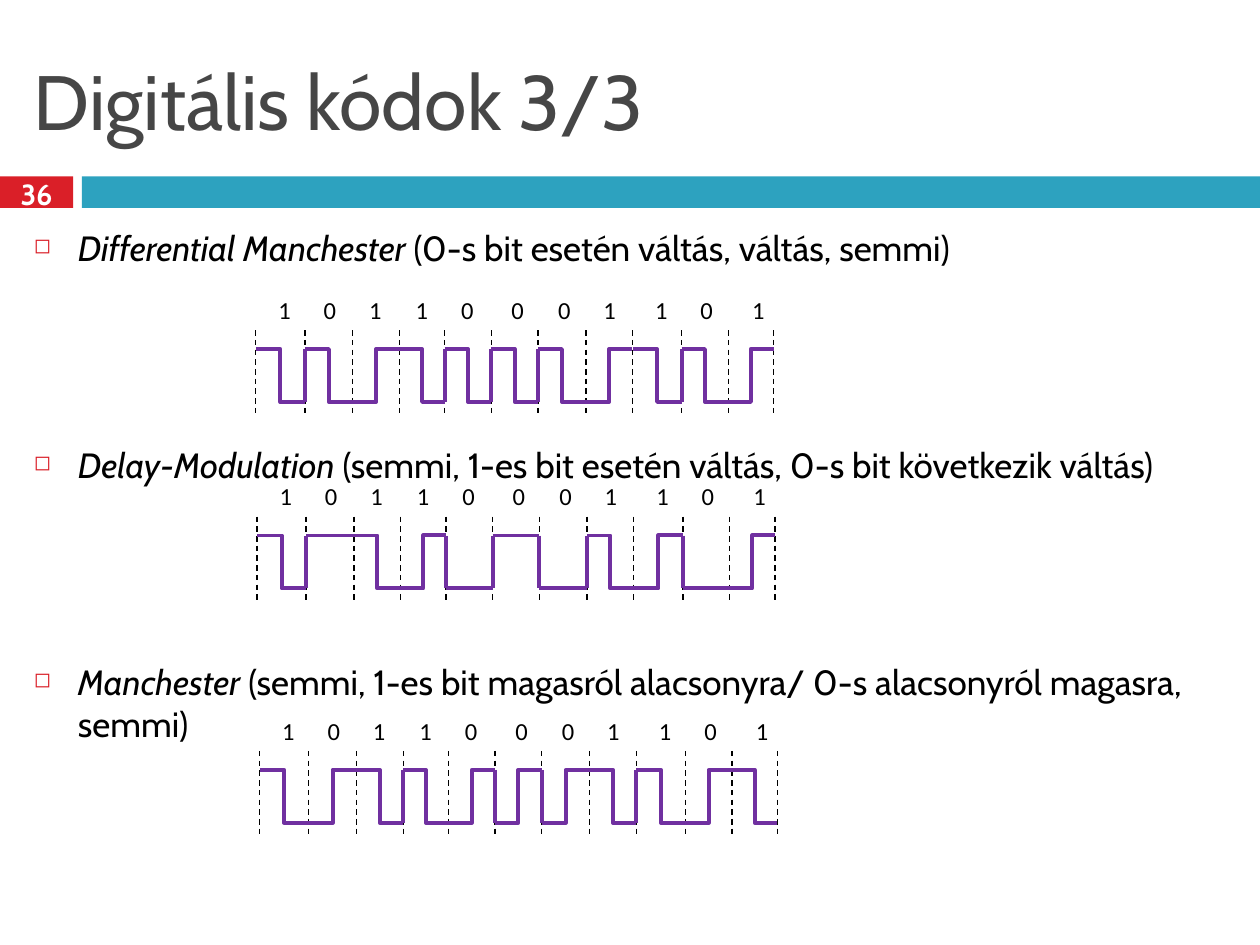
"""Build the slide on digital line codes with three waveform diagrams."""
from itertools import pairwise

from lxml.etree import SubElement
from pptx import Presentation
from pptx.dml.color import RGBColor
from pptx.enum.dml import MSO_LINE
from pptx.enum.shapes import MSO_CONNECTOR, MSO_SHAPE
from pptx.enum.text import MSO_ANCHOR, PP_ALIGN
from pptx.oxml.ns import qn
from pptx.util import Inches, Pt

COLOURS = {
    "red": "DA1F28",
    "blue": "2DA2BF",
    "title": "464646",
    "text": "000000",
    "white": "FFFFFF",
    "signal": "7030A0",
}
FORMATS = {
    "title": {"name": "Cabin", "size": Pt(44)},
    "body": {"name": "Cabin", "size": Pt(20)},
    "term": {"name": "Cabin", "size": Pt(20), "italic": True},
    "bits": {"name": "Calibri", "size": Pt(14)},
    "number": {"name": "Cabin", "size": Pt(16.6), "bold": True},
}
BITS = "10110001101"
BIT_CENTRES = [0.14, 0.5, 0.86, 1.23, 1.59, 1.99, 2.36, 2.72, 3.13, 3.49, 3.9]
CELL_EDGES = [0, 0.39, 0.77, 1.14, 1.5, 1.87, 2.24, 2.62, 2.99, 3.38, 3.75, 4.11]
LEVELS = {"F": (0.48, 0.9), "R": (0.9, 0.48), "H": (0.48, 0.48), "L": (0.9, 0.9)}
CODES = [
    ("Differential Manchester", " (0-s bit esetén váltás, váltás, semmi)",
     7, 2.03, 2.29, "FFRFFFFRFFR"),
    ("Delay-Modulation", " (semmi, 1-es bit esetén váltás, 0-s bit következik váltás)",
     100, 2.04, 3.77, "FHFRLHLFRLR"),
    ("Manchester", " (semmi, 1-es bit magasról alacsonyra/ 0-s alacsonyról magasra, semmi)",
     100, 2.06, 5.63, "FRFFRRRFFRF"),
]


def colour(name):
    """Return the named colour."""
    return RGBColor.from_string(COLOURS[name])


def add_bar(page, left, width, fill):
    """Add one part of the band under the title."""
    bar = page.shapes.add_shape(
        MSO_SHAPE.RECTANGLE, Inches(left), Inches(1.4), Inches(width), Inches(0.25))
    bar.shadow.inherit = False
    bar.fill.solid()
    bar.fill.fore_color.rgb = colour(fill)
    bar.line.fill.background()


def add_box(page, left, top, width, height, anchor=MSO_ANCHOR.TOP):
    """Add a wrapping text box and return its text frame."""
    box = page.shapes.add_textbox(
        Inches(left), Inches(top), Inches(width), Inches(height))
    frame = box.text_frame
    frame.word_wrap = True
    frame.vertical_anchor = anchor
    return frame


def add_span(para, text, style, ink="text"):
    """Add a run in one of the named formats."""
    span = para.add_run()
    span.text = text
    for key, value in FORMATS[style].items():
        setattr(span.font, key, value)
    span.font.color.rgb = colour(ink)


def set_bullet(para):
    """Give a paragraph a hanging red square bullet."""
    properties = para._p.get_or_add_pPr()
    properties.set("marL", str(Inches(0.35)))
    properties.set("indent", str(-Inches(0.35)))
    ink = SubElement(properties, qn("a:buClr"))
    SubElement(ink, qn("a:srgbClr"), val=COLOURS["red"])
    SubElement(properties, qn("a:buSzPct"), val="60000")
    SubElement(properties, qn("a:buChar"), char="◻")


def add_line(page, start, end, ink, weight, kind=MSO_CONNECTOR.STRAIGHT):
    """Add a connector between two points and return it."""
    line = page.shapes.add_connector(kind, *map(Inches, start + end))
    SubElement(line._element.spPr, qn("a:effectLst"))
    line.line.color.rgb = colour(ink)
    line.line.width = Pt(weight)
    return line


def add_bits(page, left, top):
    """Write the bit sequence on centred tab stops."""
    para = add_box(page, left, top, 4.48, 0.34).paragraphs[0]
    tabs = SubElement(para._p.get_or_add_pPr(), qn("a:tabLst"))
    for centre in BIT_CENTRES:
        SubElement(tabs, qn("a:tab"), pos=str(Inches(centre)), algn="ctr")
    add_span(para, "".join("\t" + bit for bit in BITS), "bits")


def add_waveform(page, left, top, cells):
    """Draw the cell borders and the signal of one code."""
    edges = [left + edge for edge in CELL_EDGES]
    for edge in edges:
        border = add_line(page, (edge, top + 0.33), (edge, top + 1.02), "text", 0.79)
        border.line.dash_style = MSO_LINE.DASH
    previous = None
    for (start, end), cell in zip(pairwise(edges), cells):
        first, last = (top + level for level in LEVELS[cell])
        if previous not in (None, first):
            add_line(page, (start, previous), (start, first), "signal", 2.25)
        kind = MSO_CONNECTOR.STRAIGHT if first == last else MSO_CONNECTOR.ELBOW
        add_line(page, (start, first), (end, last), "signal", 2.25, kind)
        previous = last


def main():
    """Build and save the deck."""
    deck = Presentation()
    deck.slide_width, deck.slide_height = Inches(10), Inches(7.5)
    page = deck.slides.add_slide(deck.slide_layouts[6])
    add_bar(page, 0, 0.58, "red")
    add_bar(page, 0.65, 9.35, "blue")
    title = add_box(page, 0.17, 0.25, 9.67, 1.08, MSO_ANCHOR.MIDDLE)
    add_span(title.paragraphs[0], "Digitális kódok 3/3", "title", "title")
    body = add_box(page, 0.17, 1.75, 9.67, 5.58)
    for index, (term, rule, gap, left, top, cells) in enumerate(CODES):
        para = body.add_paragraph() if index else body.paragraphs[0]
        para.space_before = Pt(gap)
        set_bullet(para)
        add_span(para, term, "term")
        add_span(para, rule, "body")
        add_waveform(page, left, top, cells)
        add_bits(page, left - 0.01, top)
    number = add_box(page, 0, 1.37, 0.58, 0.33, MSO_ANCHOR.MIDDLE)
    number.paragraphs[0].alignment = PP_ALIGN.CENTER
    add_span(number.paragraphs[0], "36", "number", "white")
    deck.save("out.pptx")


if __name__ == "__main__":
    main()
